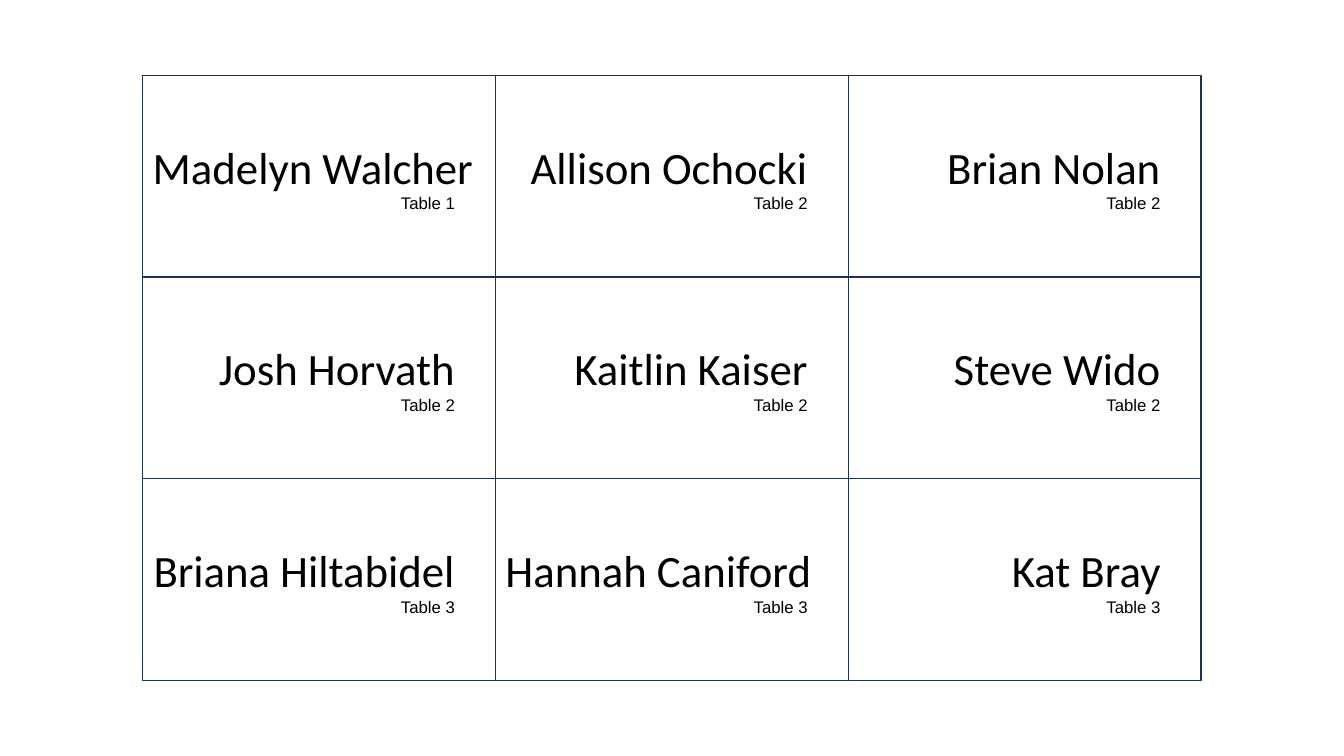
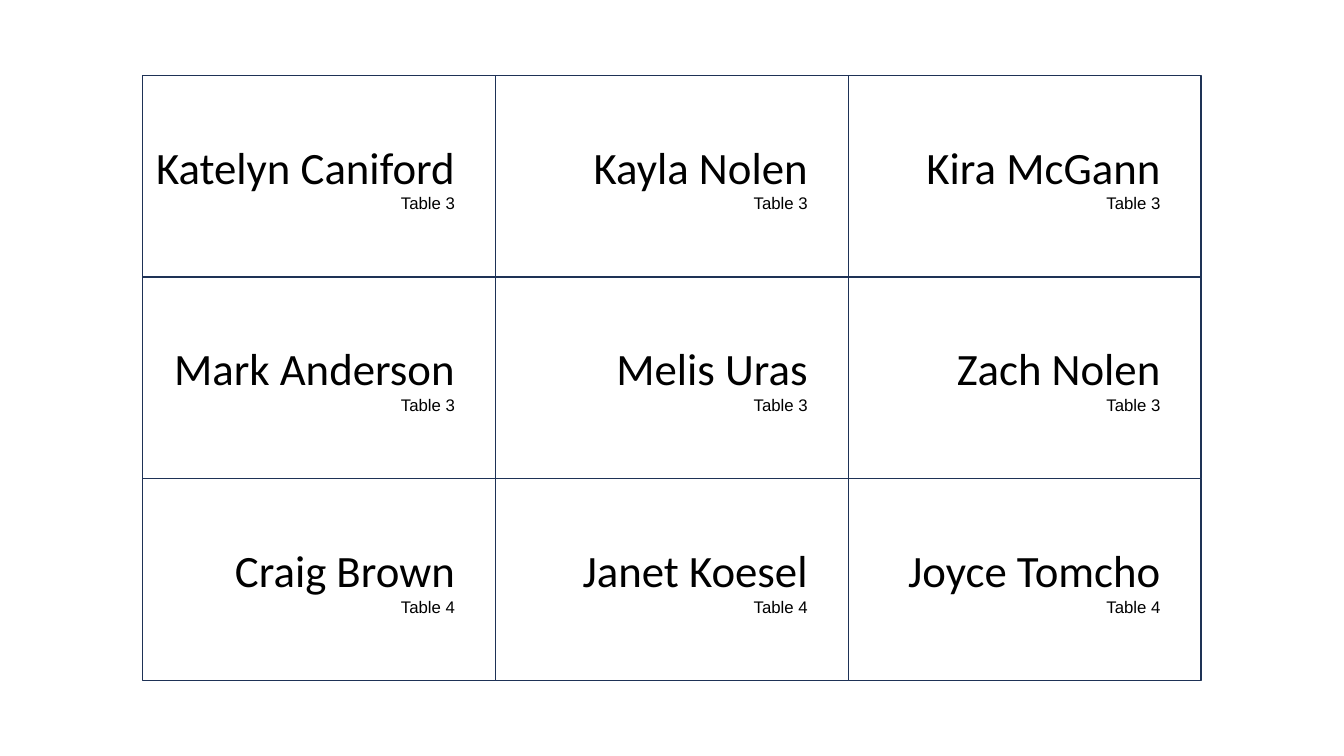
"""Build two sheets of guest place cards, nine cards to a sheet."""
from lxml import etree
from pptx import Presentation
from pptx.dml.color import RGBColor
from pptx.enum.shapes import MSO_SHAPE
from pptx.enum.text import MSO_ANCHOR, PP_ALIGN
from pptx.oxml.ns import qn
from pptx.util import Pt

RECTANGLE = MSO_SHAPE.RECTANGLE
MIDDLE = MSO_ANCHOR.MIDDLE
LEFT = PP_ALIGN.LEFT

THEME = {
    "card": RGBColor(0xFF, 0xFF, 0xFF),
    "border": RGBColor(0x1E, 0x32, 0x56),
    "ink": RGBColor(0x00, 0x00, 0x00),
    "border_width": Pt(1),
    "guest_font": {"name": "Calibri", "size": Pt(32)},
    "seat_font": {"name": "Arial", "size": Pt(12)},
}

SLIDE_WIDTH, SLIDE_HEIGHT = Pt(960), Pt(540)
CARD_WIDTH, CARD_HEIGHT = Pt(252), Pt(144)
COLUMNS, ROWS = 3, 3
GRID_LEFT = (SLIDE_WIDTH - COLUMNS * CARD_WIDTH) // 2
GRID_TOP = (SLIDE_HEIGHT - ROWS * CARD_HEIGHT) // 2
RIGHT_TAB = Pt(216)
FRAME_FORMAT = {
    "word_wrap": True,
    "vertical_anchor": MIDDLE,
    "margin_left": Pt(7.2),
    "margin_right": Pt(7.2),
    "margin_top": Pt(3.6),
    "margin_bottom": Pt(3.6),
}

SHEETS = [
    [
        ("Madelyn Walcher", 1), ("Allison Ochocki", 2), ("Brian Nolan", 2),
        ("Josh Horvath", 2), ("Kaitlin Kaiser", 2), ("Steve Wido", 2),
        ("Briana Hiltabidel", 3), ("Hannah Caniford", 3), ("Kat Bray", 3),
    ],
    [
        ("Katelyn Caniford", 3), ("Kayla Nolen", 3), ("Kira McGann", 3),
        ("Mark Anderson", 3), ("Melis Uras", 3), ("Zach Nolen", 3),
        ("Craig Brown", 4), ("Janet Koesel", 4), ("Joyce Tomcho", 4),
    ],
]


def set_format(target, values):
    for attribute, value in values.items():
        setattr(target, attribute, value)


def write_line(paragraph, text, font_format):
    paragraph.alignment = LEFT
    tab_list = etree.SubElement(paragraph._p.get_or_add_pPr(), qn("a:tabLst"))
    etree.SubElement(tab_list, qn("a:tab"), pos=str(RIGHT_TAB), algn="r")
    run = paragraph.add_run()
    run.text = f"\t{text}"
    set_format(run.font, font_format)
    run.font.color.rgb = THEME["ink"]


deck = Presentation()
set_format(deck, {"slide_width": SLIDE_WIDTH, "slide_height": SLIDE_HEIGHT})
blank_layout = deck.slide_layouts[6]

for guests in SHEETS:
    sheet = deck.slides.add_slide(blank_layout)
    for position, (guest, seat) in enumerate(guests):
        row, column = divmod(position, COLUMNS)
        card = sheet.shapes.add_shape(
            RECTANGLE,
            GRID_LEFT + column * CARD_WIDTH,
            GRID_TOP + row * CARD_HEIGHT,
            CARD_WIDTH,
            CARD_HEIGHT,
        )
        card.shadow.inherit = False
        card.fill.solid()
        card.fill.fore_color.rgb = THEME["card"]
        card.line.color.rgb = THEME["border"]
        card.line.width = THEME["border_width"]
        frame = card.text_frame
        set_format(frame, FRAME_FORMAT)
        write_line(frame.paragraphs[0], guest, THEME["guest_font"])
        write_line(frame.add_paragraph(), f"Table {seat}", THEME["seat_font"])

deck.save("out.pptx")
